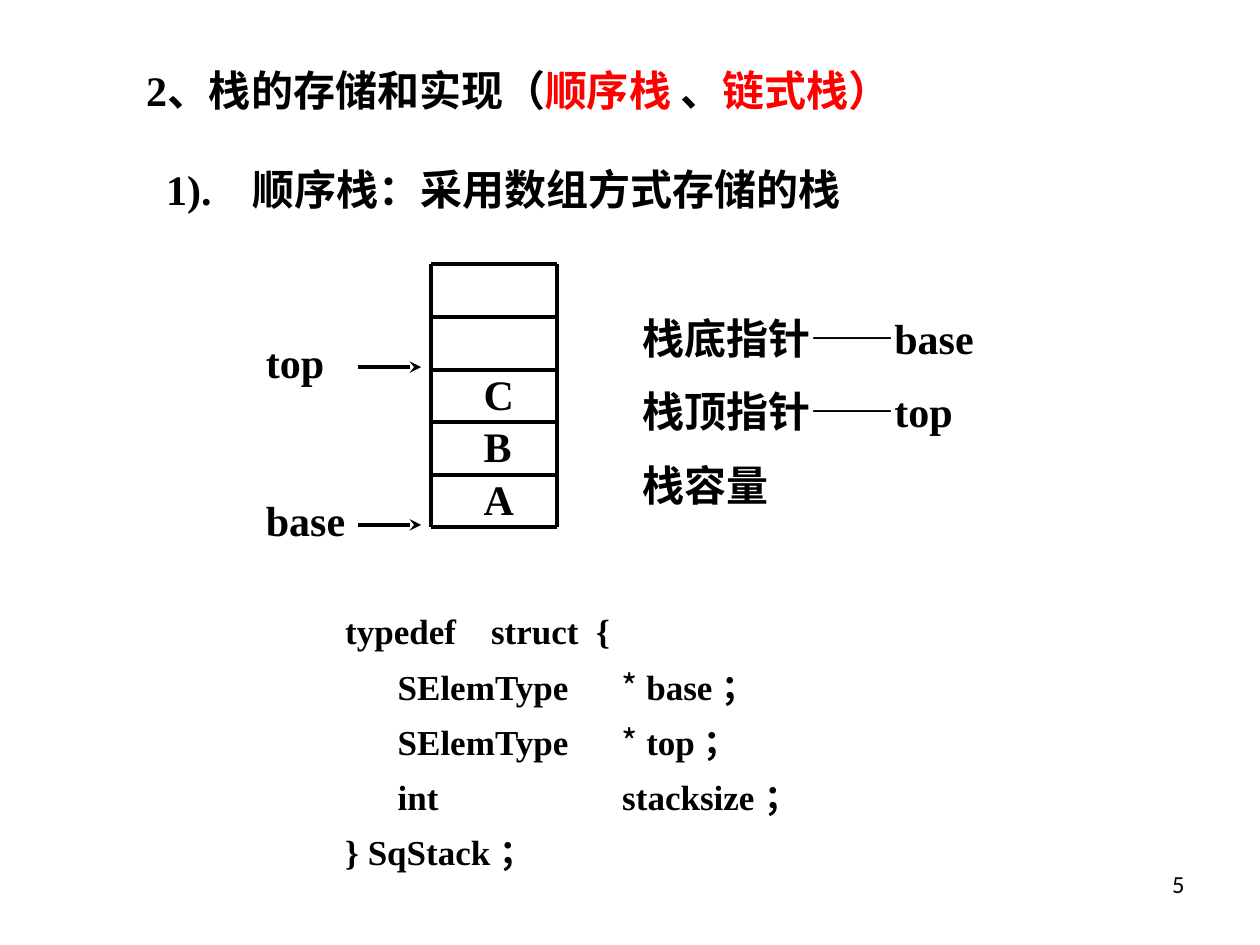
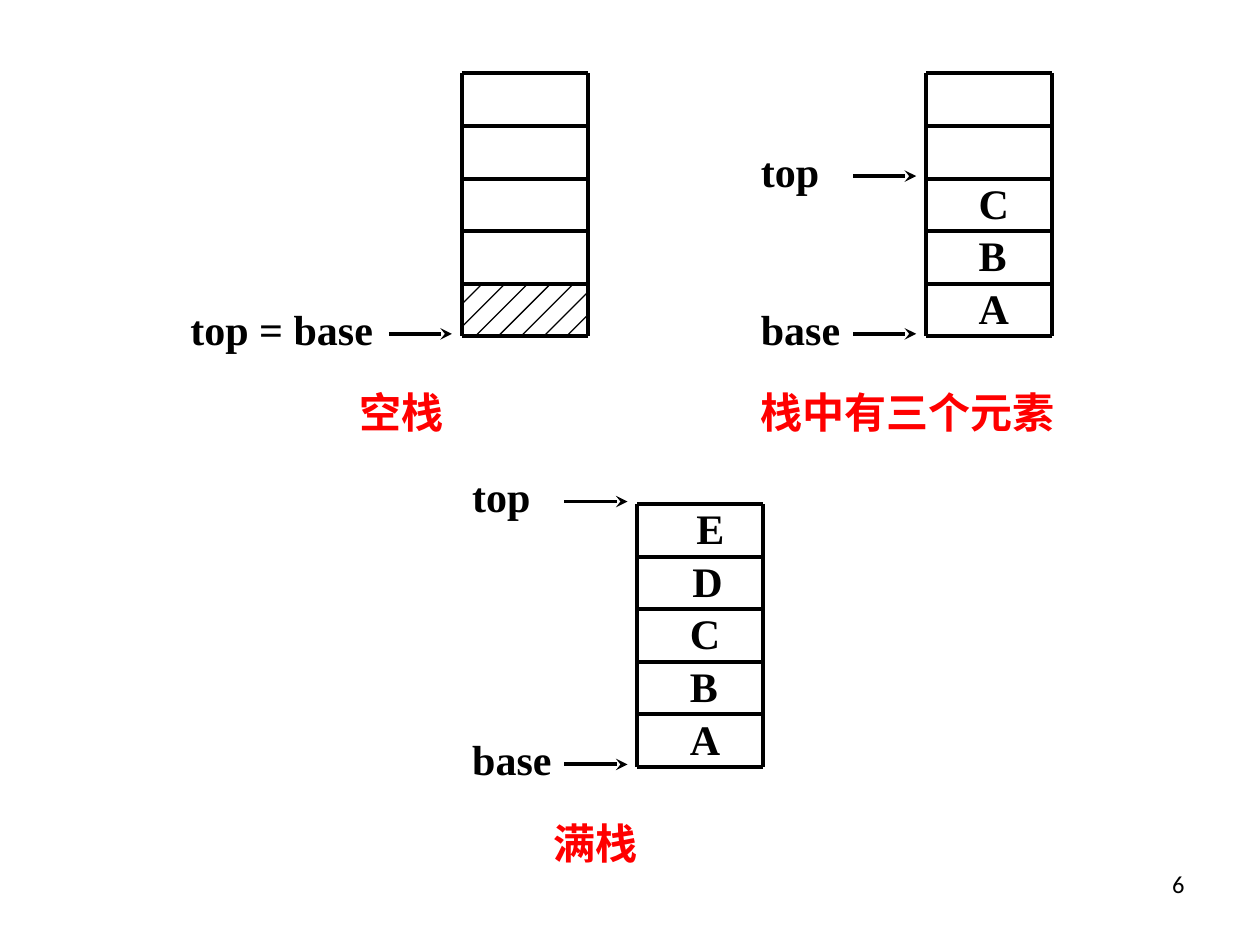
import pptx
import pptx.dml.color
import pptx.enum.shapes
import pptx.enum.text
import pptx.oxml.ns
import pptx.util
from lxml import etree

Cm = pptx.util.Cm
qn = pptx.oxml.ns.qn
BLACK = "000000"
RED = "FF0000"
SERIF = "Times New Roman"
STAR = ("*", {"font": "Noto Sans CJK SC", "bold": False})


def rgb(value):
    return pptx.dml.color.RGBColor.from_string(value)


class StackDeck:
    """Holds the lecture style and draws on the current slide."""

    cell_width, cell_height, cells = 2.54, 1.06, 5
    text_drop = 0.05

    def __init__(self):
        self.deck = pptx.Presentation()
        self.deck.slide_width, self.deck.slide_height = Cm(25.4), Cm(19.05)
        self.slide = None

    def new_slide(self, layout, number):
        self.slide = self.deck.slides.add_slide(self.deck.slide_layouts[layout])
        self.text([str(number)], 18.21, 17.35, 5.92, 1.32, size=14, font="Calibri",
                  bold=False, align=pptx.enum.text.PP_ALIGN.RIGHT)

    def fill_frame(self, frame, lines, size=24, color=BLACK, font=SERIF, bold=True,
                   align=pptx.enum.text.PP_ALIGN.LEFT, gap=0, tab=None):
        frame.word_wrap = True
        frame.auto_size = pptx.enum.text.MSO_AUTO_SIZE.NONE
        frame.vertical_anchor = pptx.enum.text.MSO_ANCHOR.TOP
        for index, line in enumerate(lines):
            paragraph = frame.add_paragraph() if index else frame.paragraphs[0]
            paragraph.alignment = align
            if index:
                paragraph.space_before = pptx.util.Pt(gap)
            if tab:
                stops = etree.SubElement(paragraph._p.get_or_add_pPr(), qn("a:tabLst"))
                etree.SubElement(stops, qn("a:tab"), pos=str(Cm(tab)), algn="l")
            for words, changes in [(line, {})] if isinstance(line, str) else line:
                run = paragraph.add_run()
                run.text = words
                run.font.size = pptx.util.Pt(size)
                run.font.name = changes.get("font", font)
                run.font.bold = changes.get("bold", bold)
                run.font.color.rgb = rgb(changes.get("color", color))

    def title(self, line, left, top, width, height):
        heading = self.slide.shapes.title
        heading.left, heading.top = Cm(left), Cm(top + self.text_drop)
        heading.width, heading.height = Cm(width), Cm(height)
        self.fill_frame(heading.text_frame, [line])

    def text(self, lines, left, top, width, height=1.27, **style):
        box = self.slide.shapes.add_textbox(
            Cm(left), Cm(top + self.text_drop), Cm(width), Cm(height))
        self.fill_frame(box.text_frame, lines, **style)

    def line(self, x1, y1, x2, y2, weight=2.25, arrow=False):
        stroke = self.slide.shapes.add_connector(
            pptx.enum.shapes.MSO_CONNECTOR.STRAIGHT, Cm(x1), Cm(y1), Cm(x2), Cm(y2))
        stroke.line.color.rgb = rgb(BLACK)
        stroke.line.width = pptx.util.Pt(weight)
        properties = stroke._element.spPr
        if arrow:
            etree.SubElement(properties.find(qn("a:ln")), qn("a:tailEnd"), type="stealth")
        etree.SubElement(properties, qn("a:effectLst"))

    def stack(self, left, top, elements=""):
        right, bottom = left + self.cell_width, top + self.cells * self.cell_height
        for x in (left, right):
            self.line(x, top, x, bottom)
        for row in range(self.cells + 1):
            y = top + row * self.cell_height
            self.line(left, y, right, y)
        nudges = {"D": 0.05, "E": 0.13}
        for level, element in enumerate(elements, 1):
            self.text([element], left + 0.81 + nudges.get(element, 0),
                      bottom - level * self.cell_height - 0.2, 2.74)

    def pointer(self, name, left, top, level, reach=3.58):
        y = top + (self.cells - level) * self.cell_height
        self.text([name], left - reach, y - 0.84, reach - 0.2)
        self.line(left - 1.47, y - 0.05, left - 0.2, y - 0.05, arrow=True)

    def filled_stack(self, left, top, elements):
        self.stack(left, top, elements)
        self.pointer("base", left, top, 0)
        self.pointer("top", left, top, len(elements))

    def hatch_bottom_cell(self, left, top):
        cell_top = top + (self.cells - 1) * self.cell_height
        for stripe in range(7):
            reach = 0.41 + stripe * 0.46
            across = min(reach, self.cell_width)
            down = min(reach, self.cell_height)
            self.line(left + across, cell_top + reach - across,
                      left + reach - down, cell_top + down, weight=0.75)


def sequential_stack(deck):
    deck.new_slide(5, 5)
    deck.title([("2、栈的存储和实现（", {}), ("顺序栈", {"color": RED}),
                (" 、", {}), ("链式栈）", {"color": RED})], 2.69, 1.12, 17.78, 1.27)
    deck.text(["1).\t顺序栈：采用数组方式存储的栈"], 3.1, 3.12, 16.94, tab=1.75)
    deck.filled_stack(8.69, 5.33, "ABC")
    for row, field in enumerate(("栈底指针——base", "栈顶指针——top", "栈容量")):
        deck.text([field], 12.7, 6.12 + row * 1.48, 9.09)
    members = [[("      SElemType      ", {}), STAR, (f" {name} ；", {})]
               for name in ("base", "top")]
    deck.text(["typedef    struct  {", *members,
               "      int                     stacksize ；", "} SqStack ；"],
              6.71, 12.12, 12.5, 5.56, size=20, gap=7.5)


def stack_states(deck):
    deck.new_slide(6, 6)
    upper, lower = 1.48, 10.16
    empty, partial, full = 9.31, 18.67, 12.85
    deck.stack(empty, upper)
    deck.hatch_bottom_cell(empty, upper)
    deck.pointer("top = base", empty, upper, 0, reach=5.72)
    deck.filled_stack(partial, upper, "ABC")
    deck.filled_stack(full, lower, "ABCDE")
    for caption, left, top, width in (("空栈", 6.99, upper, 5.28),
                                      ("栈中有三个元素", 15.09, upper, 6.78),
                                      ("满栈", 10.9, lower, 5.28)):
        deck.text([caption], left, top + 6.14, width, color=RED)


def main():
    lecture = StackDeck()
    sequential_stack(lecture)
    stack_states(lecture)
    lecture.deck.save("out.pptx")


if __name__ == "__main__":
    main()
